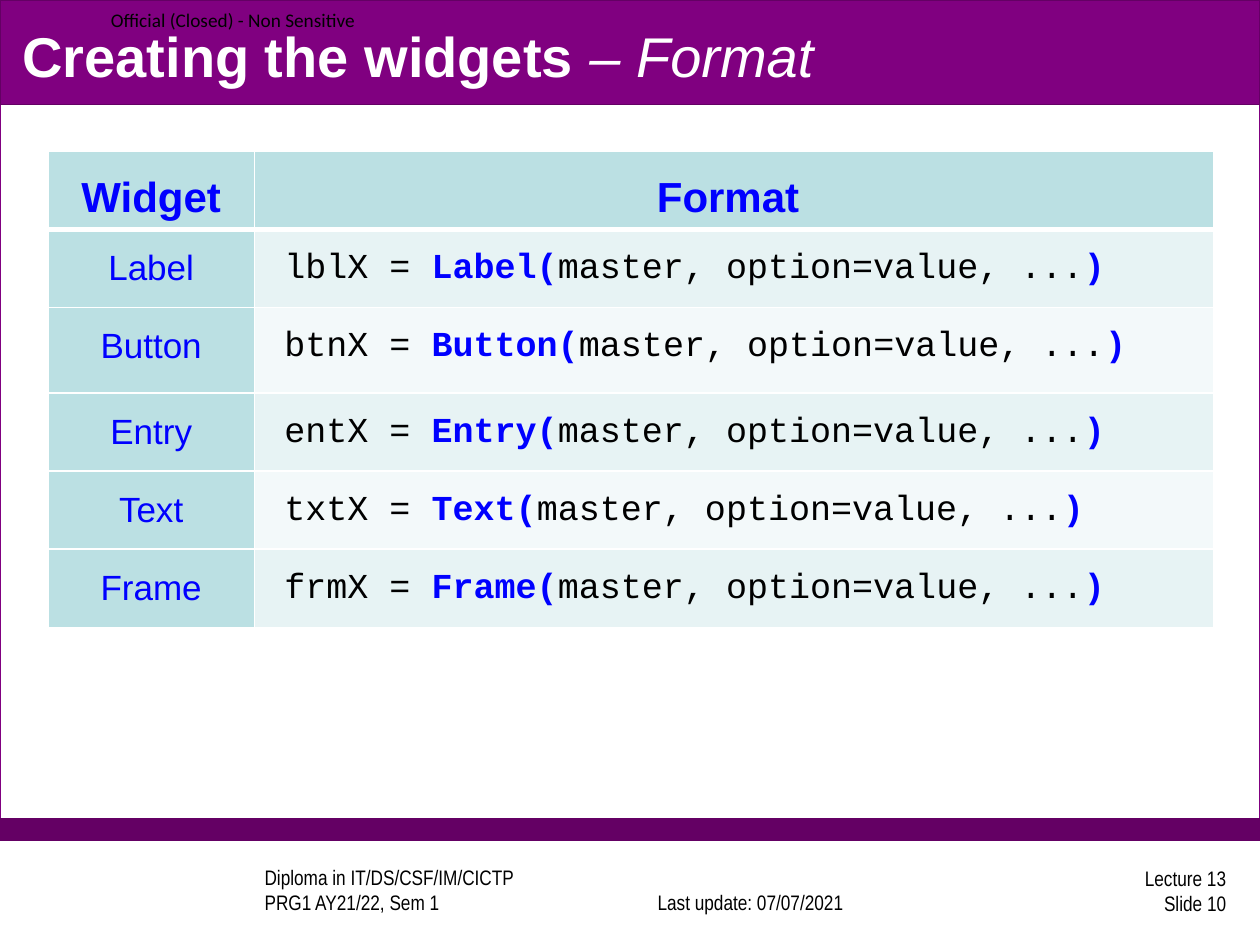
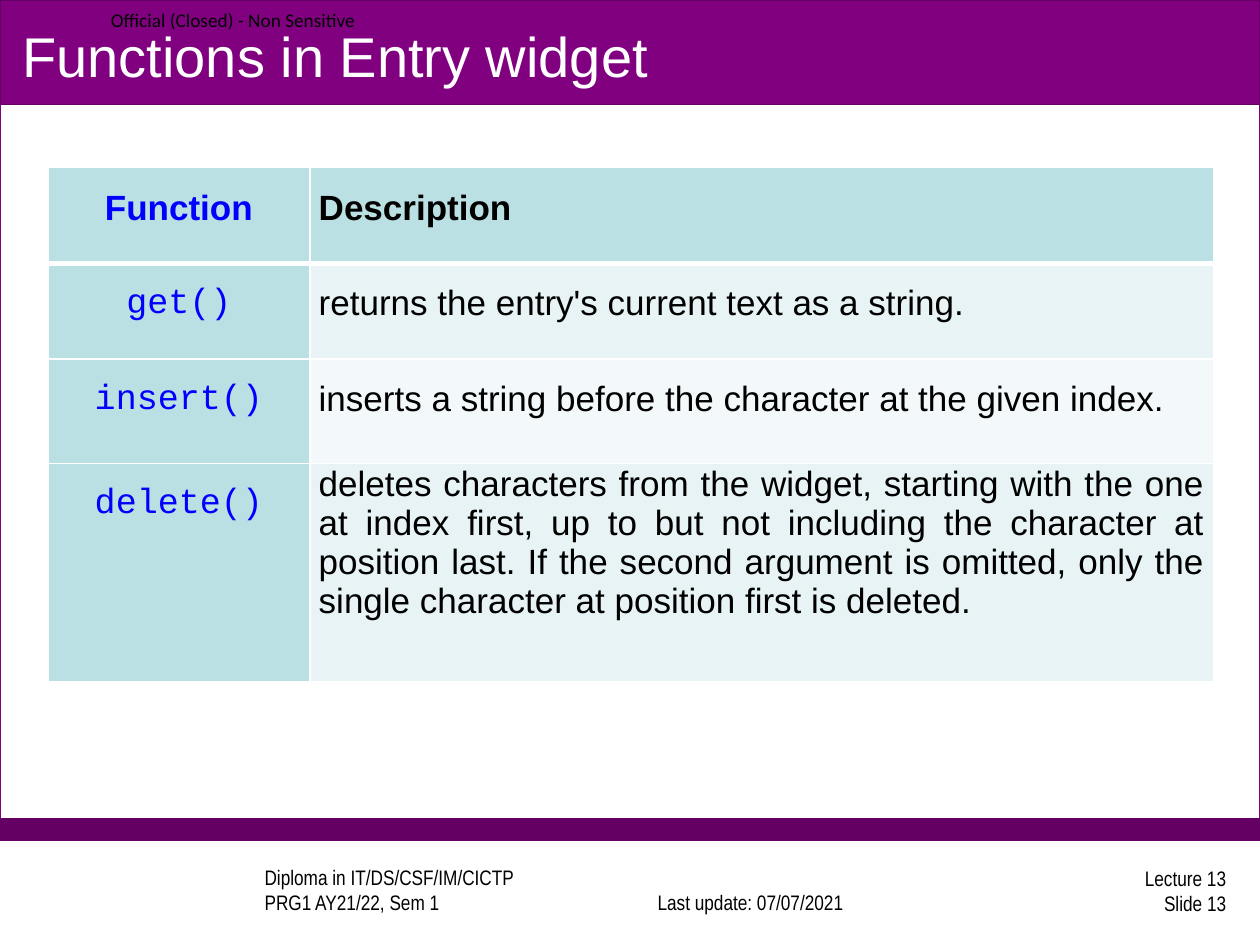
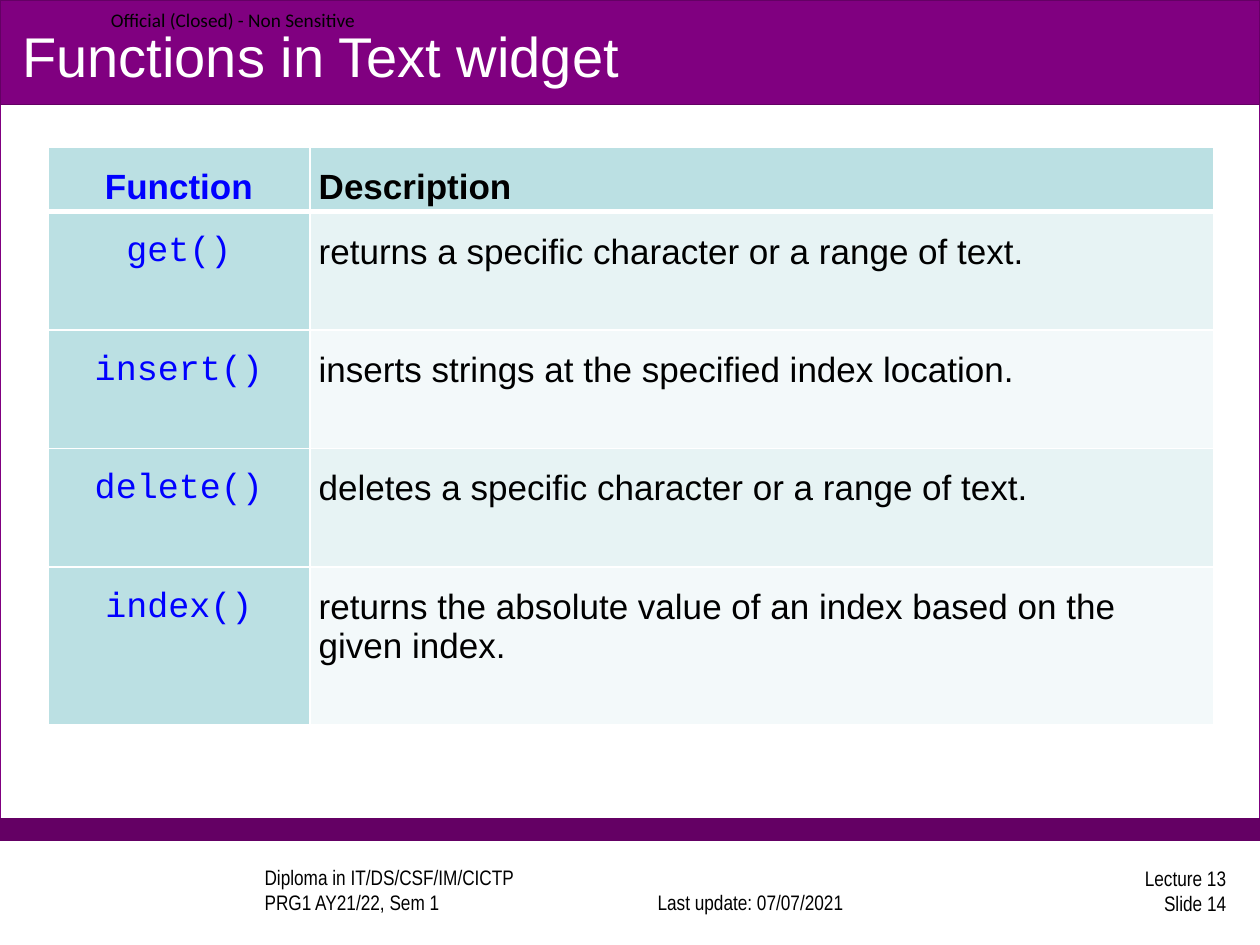
import pptx
import pptx.util
import pptx.dml.color
import pptx.enum.shapes
import pptx.enum.text
import pptx.oxml
import pptx.oxml.ns

Inches = pptx.util.Inches
Pt = pptx.util.Pt
RGBColor = pptx.dml.color.RGBColor
ALIGN = pptx.enum.text.PP_ALIGN
ANCHOR = pptx.enum.text.MSO_ANCHOR

WHITE = RGBColor(0xFF, 0xFF, 0xFF)
BLACK = RGBColor(0, 0, 0)
BLUE = RGBColor(0, 0, 0xFF)
PURPLE = RGBColor(0x80, 0, 0x80)
PLUM = RGBColor(0x64, 0, 0x64)
TEAL = RGBColor(0xBB, 0xE0, 0xE3)
BANDS = (RGBColor(0xE7, 0xF3, 0xF4), RGBColor(0xF3, 0xF9, 0xFA))

TITLE = {"name": "Arial", "size": Pt(32), "color": WHITE}
FOOT = {"name": "Arial Narrow", "size": Pt(12), "color": BLACK}
LABEL = {"name": "Calibri", "size": Pt(11), "color": BLACK}
BODY = {"name": "Arial", "size": Pt(20), "color": BLACK, "bold": False}
HEAD = {**BODY, "bold": True}
KEY = {**BODY, "color": BLUE}
KEYHEAD = {**KEY, "bold": True}
BIGHEAD = {**KEYHEAD, "size": Pt(24)}
CODE = {**BODY, "name": "Courier New"}
CALL = {**CODE, "color": BLUE}
CALLBOLD = {**CALL, "bold": True}


def assign(item, form):
    """Set the attributes of an item from a dict."""
    for name, value in form.items():
        if name == "color":
            item.color.rgb = value
        else:
            setattr(item, name, value)


def write(para, runs, **form):
    """Fill a paragraph with (text, font) runs; a newline breaks the line."""
    assign(para, form)
    for text, font in runs:
        for i, line in enumerate(text.split("\n")):
            if i:
                para.add_line_break()
            run = para.add_run()
            run.text = line
            assign(run.font, font)


def add_band(slide, box, fill, edge):
    """Draw a full-width rectangle."""
    band = slide.shapes.add_shape(
        pptx.enum.shapes.MSO_SHAPE.RECTANGLE, *map(Inches, box))
    band.shadow.inherit = False
    band.fill.solid()
    band.fill.fore_color.rgb = fill
    band.line.color.rgb = edge
    band.line.width = Pt(0.75)


def add_text(slide, box, runs, align=ALIGN.LEFT, **frame):
    """Place a wrapped text box."""
    text = slide.shapes.add_textbox(*map(Inches, box)).text_frame
    assign(text, {"word_wrap": True, "vertical_anchor": ANCHOR.MIDDLE, **frame})
    write(text.paragraphs[0], runs, alignment=align)


def add_foot(slide, top, number):
    """Write the three footer parts from the given top."""
    add_text(slide, (1.5, top + 0.03, 3.17, 0.42),
             [("Diploma in IT/DS/CSF/IM/CICTP\nPRG1 AY21/22, Sem 1", FOOT)],
             vertical_anchor=ANCHOR.BOTTOM, margin_left=Inches(0.6))
    add_text(slide, (4.88, top + 0.03, 2.08, 0.42),
             [("Last update: 07/07/2021", FOOT)], ALIGN.CENTER,
             vertical_anchor=ANCHOR.BOTTOM, margin_left=Inches(0.17))
    add_text(slide, (7.75, top, 2.08, 0.42),
             [(f"Lecture 13\nSlide {number}", FOOT)], ALIGN.RIGHT)


def add_page(deck, number, title):
    """Add a slide with its bands, footer, label and title."""
    slide = deck.slides.add_slide(deck.slide_layouts[6])
    add_band(slide, (0, 0, 10, 6.67), WHITE, PURPLE)
    add_band(slide, (0, 6.5, 10, 0.17), PLUM, PLUM)
    add_band(slide, (0, 0, 10, 0.83), PURPLE, PLUM)
    add_foot(slide, 6.86, number)
    add_text(slide, (0, 0, 3.01, 0.31),
             [("Official (Closed) - Non Sensitive", LABEL)],
             margin_left=Inches(0.88), margin_right=0,
             margin_top=0, margin_bottom=0)
    add_text(slide, (0.08, 0.13, 9.83, 0.62), title)
    return slide


def add_edges(cell, row):
    """Draw white cell borders, thick between header and body."""
    widths = {"L": 1, "R": 1, "T": 3 if row == 1 else 1, "B": 1 if row else 3}
    props = cell._tc.get_or_add_tcPr()
    for i, (side, width) in enumerate(widths.items()):
        props.insert(i, pptx.oxml.parse_xml(
            f'<a:ln{side} {pptx.oxml.ns.nsdecls("a")} w="{Pt(width)}">'
            f'<a:solidFill><a:srgbClr val="{WHITE}"/></a:solidFill></a:ln{side}>'))


def add_grid(slide, top, cols, heights, rows, inset=0.01):
    """Build a table; each cell is a list of (runs, paragraph format)."""
    grid = slide.shapes.add_table(
        len(rows), len(cols), Inches(0.38), Inches(top),
        Inches(sum(cols)), Inches(sum(heights))).table
    for col, width in zip(grid.columns, cols):
        col.width = Inches(width)
    for r, (height, row) in enumerate(zip(heights, rows)):
        grid.rows[r].height = Inches(height)
        for c, paras in enumerate(row):
            cell = grid.cell(r, c)
            assign(cell, {"margin_left": Inches(0.07), "margin_right": Inches(0.07),
                          "margin_top": Inches(inset), "margin_bottom": 0})
            cell.fill.solid()
            cell.fill.fore_color.rgb = BANDS[(r - 1) % 2] if r and c else TEAL
            add_edges(cell, r)
            for i, (runs, form) in enumerate(paras):
                para = cell.text_frame.add_paragraph() if i else cell.text_frame.paragraphs[0]
                write(para, runs, **form)


def cell(text, font, align=ALIGN.LEFT, space=1.5):
    """Describe a cell of one paragraph in one font."""
    return [([(text, font)], {"alignment": align, "line_spacing": space})]


def add_forms(slide, top, names):
    """Tabulate how each widget is created."""
    rows = [[cell("Widget", BIGHEAD, ALIGN.CENTER),
             cell("Format ", BIGHEAD, ALIGN.CENTER)]]
    for short, name in names.items():
        code = [(f" {short}X = ", CODE), (f"{name}(", CALLBOLD),
                ("master, option=value, ...", CODE), (")", CALLBOLD)]
        rows.append([cell(name, KEY, ALIGN.CENTER), [(code, {"line_spacing": 1.5})]])
    add_grid(slide, top, (1.64, 7.61), (0.62, 0.62, 0.68, 0.62, 0.62, 0.62), rows, 0)


def add_calls(slide, top, heights, notes):
    """Tabulate functions and their descriptions."""
    rows = [[cell("Function", KEYHEAD, ALIGN.CENTER), cell("Description", HEAD)]]
    rows += [[cell(f"{name}()", CALL, ALIGN.CENTER), note]
             for name, note in notes.items()]
    add_grid(slide, top, (2.08, 7.17), heights, rows)


deck = pptx.Presentation()
deck.slide_width, deck.slide_height = Inches(10), Inches(7.5)

page = add_page(deck, 10, [("Creating the widgets ", {**TITLE, "bold": True}),
                           ("– Format", {**TITLE, "italic": True})])
add_forms(page, 1.2, {"lbl": "Label", "btn": "Button", "ent": "Entry",
                      "txt": "Text", "frm": "Frame"})

page = add_page(deck, 13, [("Functions in Entry widget", TITLE)])
add_calls(page, 1.33, (0.76, 0.76, 0.83, 1.73), {
    "get": cell("returns the entry's current text as a string.", BODY),
    "insert": cell("inserts a string before the character at the given index.", BODY),
    "delete": cell(
        "deletes characters from the widget, starting with the one at index first, "
        "up to but not including the character at position last. If the second "
        "argument is omitted, only the single character at position first is deleted.",
        BODY, ALIGN.JUSTIFY, 1.0),
})

page = add_page(deck, 14, [("Functions in Text widget", TITLE)])
add_calls(page, 1.17, (0.46, 0.94, 0.94, 0.94, 1.25), {
    "get": cell("returns a specific character or a range of text.", BODY),
    "insert": cell("inserts strings at the specified index location.", BODY),
    "delete": cell("deletes a specific character or a range of text.", BODY),
    "index": cell("returns the absolute value of an index based on the", BODY)
    + cell("given index.", BODY, space=1.0),
})

deck.save("out.pptx")
